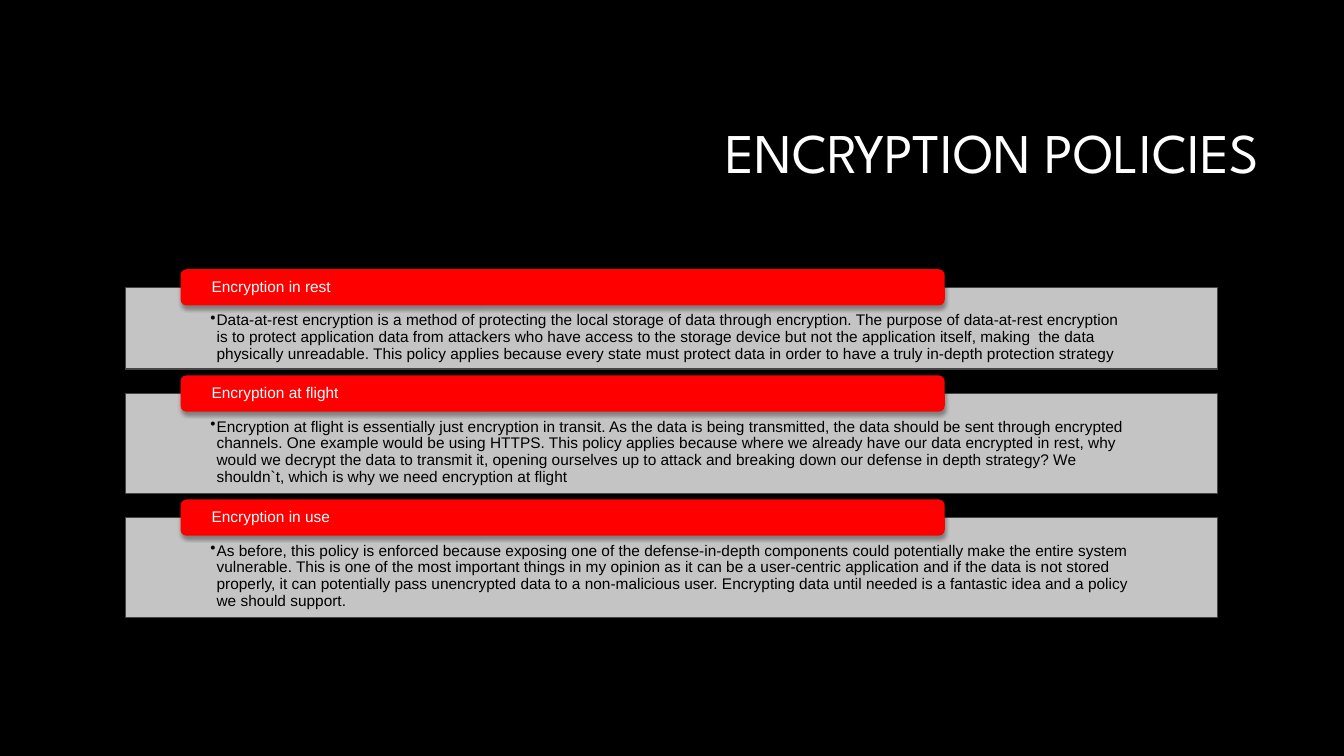
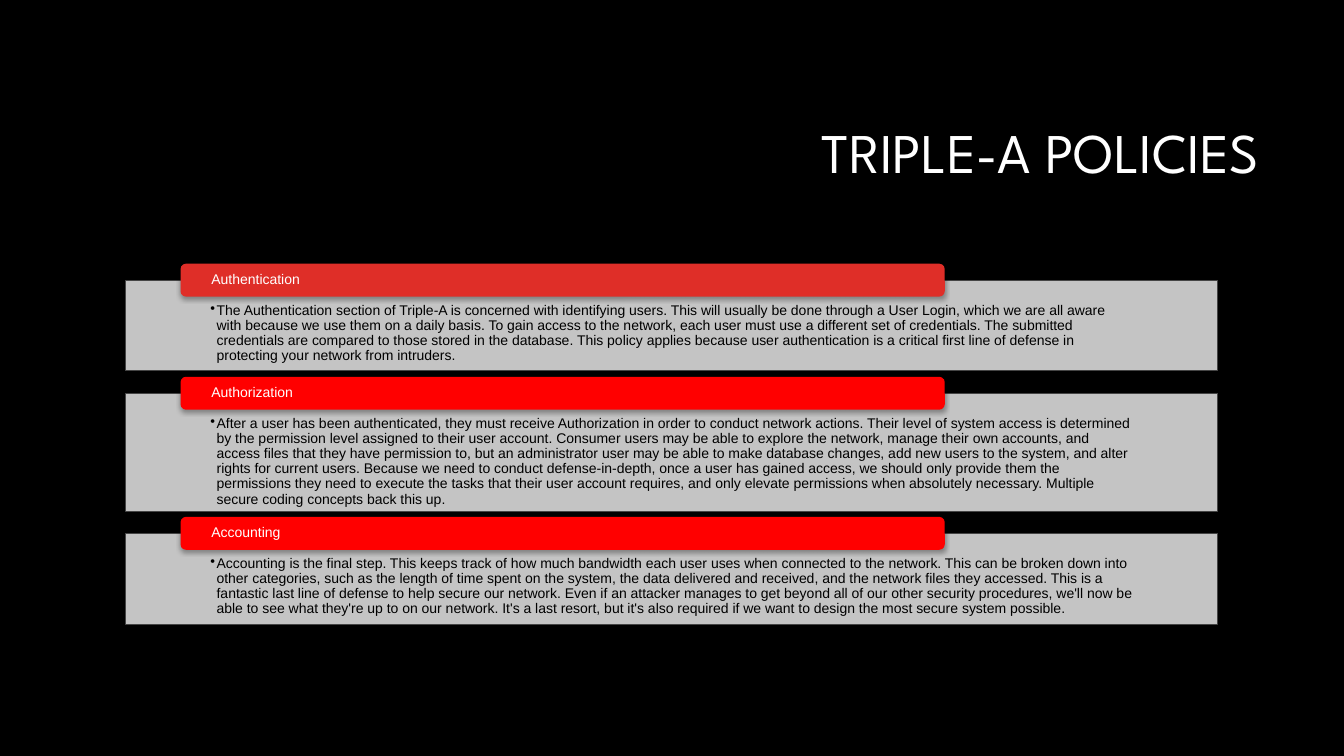
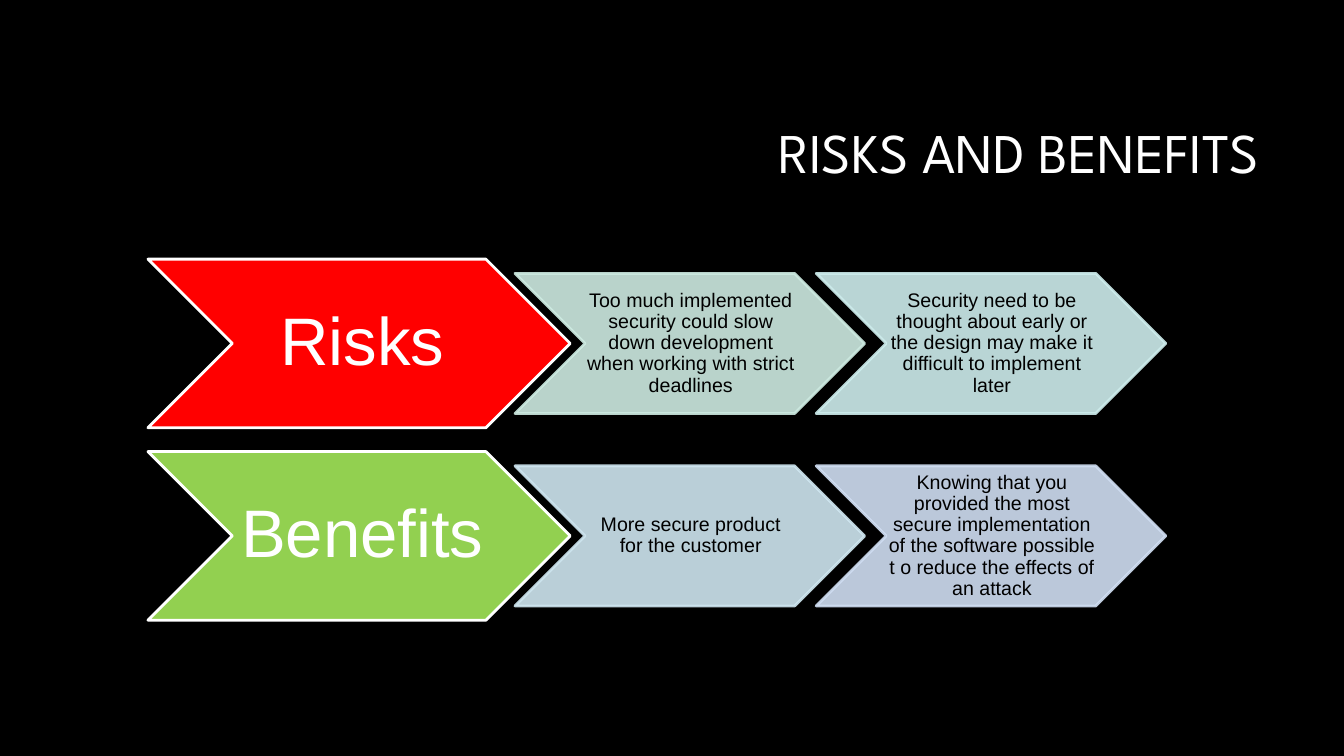
from dataclasses import dataclass

from lxml import etree
from pptx import Presentation
from pptx.dml.color import RGBColor
from pptx.enum import shapes, text
from pptx.oxml import ns
from pptx.util import Cm, Pt

COLORS = {
    "background": "000000",
    "light_text": "FFFFFF",
    "dark_text": "000000",
    "panel": "DADADA",
    "panel_edge": "454545",
    "red": "FF0000",
    "brick": "DF2E28",
    "green": "92D050",
    "mint": "CEEBE2",
    "aqua": "CEEDED",
    "sky": "CFE6F0",
    "periwinkle": "D0DEF2",
}
TITLE_FONT = "League Spartan"
BODY_FONT = "Arial"
TITLE_ONLY = 5


@dataclass(frozen=True)
class Box:
    """Position and size in centimetres."""
    left: float
    top: float
    width: float
    height: float


@dataclass(frozen=True)
class Policy:
    heading: str
    body: str
    height: float
    color: str = "red"


@dataclass(frozen=True)
class PolicySlide:
    title: str
    top: float
    size: int
    policies: tuple[Policy, ...]


@dataclass(frozen=True)
class Step:
    label: str
    color: str


@dataclass(frozen=True)
class ChevronRow:
    lead: Step
    followers: tuple[Step, ...]


@dataclass(frozen=True)
class TextStyle:
    size: int
    color: str
    align: text.PP_ALIGN = text.PP_ALIGN.LEFT
    anchor: text.MSO_ANCHOR = text.MSO_ANCHOR.MIDDLE
    insets: tuple[float, float, float, float] = (0, 0, 0, 0)
    font: str = BODY_FONT


# Content
POLICY_SLIDES = (
    PolicySlide("ENCRYPTION POLICIES", 7.24, 11, (
        Policy(
            "Encryption in rest",
            "Data-at-rest encryption is a method of protecting the local storage of data "
            "through encryption. The purpose of data-at-rest encryption is to protect "
            "application data from attackers who have access to the storage device but not "
            "the application itself, making  the data physically unreadable. This policy "
            "applies because every state must protect data in order to have a truly "
            "in-depth protection strategy",
            2.06),
        Policy(
            "Encryption at flight",
            "Encryption at flight is essentially just encryption in transit. As the data is "
            "being transmitted, the data should be sent through encrypted channels. One "
            "example would be using HTTPS. This policy applies because where we already have "
            "our data encrypted in rest, why would we decrypt the data to transmit it, "
            "opening ourselves up to attack and breaking down our defense in depth strategy? "
            "We shouldn`t, which is why we need encryption at flight",
            2.51),
        Policy(
            "Encryption in use",
            "As before, this policy is enforced because exposing one of the defense-in-depth "
            "components could potentially make the entire system vulnerable. This is one of "
            "the most important things in my opinion as it can be a user-centric application "
            "and if the data is not stored properly, it can potentially pass unencrypted data "
            "to a non-malicious user. Encrypting data until needed is a fantastic idea and a "
            "policy we should support.",
            2.51),
    )),
    PolicySlide("TRIPLE-A POLICIES", 7.06, 10, (
        Policy(
            "Authentication",
            "The Authentication section of Triple-A is concerned with identifying users. This "
            "will usually be done through a User Login, which we are all aware with because "
            "we use them on a daily basis. To gain access to the network, each user must use "
            "a different set of credentials. The submitted credentials are compared to those "
            "stored in the database. This policy applies because user authentication is a "
            "critical first line of defense in protecting your network from intruders.",
            2.29, "brick"),
        Policy(
            "Authorization",
            "After a user has been authenticated, they must receive Authorization in order to "
            "conduct network actions. Their level of system access is determined by the "
            "permission level assigned to their user account. Consumer users may be able to "
            "explore the network, manage their own accounts, and access files that they have "
            "permission to, but an administrator user may be able to make database changes, "
            "add new users to the system, and alter rights for current users. Because we need "
            "to conduct defense-in-depth, once a user has gained access, we should only "
            "provide them the permissions they need to execute the tasks that their user "
            "account requires, and only elevate permissions when absolutely necessary. "
            "Multiple secure coding concepts back this up.",
            2.97),
        Policy(
            "Accounting",
            "Accounting is the final step. This keeps track of how much bandwidth each user "
            "uses when connected to the network. This can be broken down into other "
            "categories, such as the length of time spent on the system, the data delivered "
            "and received, and the network files they accessed. This is a fantastic last line "
            "of defense to help secure our network. Even if an attacker manages to get beyond "
            "all of our other security procedures, we'll now be able to see what they're up "
            "to on our network. It's a last resort, but it's also required if we want to "
            "design the most secure system possible.",
            2.29),
    )),
)
CHEVRON_ROWS = (
    ChevronRow(Step("Risks", "red"), (
        Step("Too much implemented security could slow down development when working with "
             "strict deadlines", "mint"),
        Step("Security need to be thought about early or the design may make it difficult to "
             "implement later", "aqua"),
    )),
    ChevronRow(Step("Benefits", "green"), (
        Step("More secure product for the customer", "sky"),
        Step("Knowing that you provided the most secure implementation of the software "
             "possible t o reduce the effects of an attack", "periwinkle"),
    )),
)

# Shared styles
TITLE_BOX = Box(8.05, 2.13, 23.93, 3.58)
TITLE_STYLE = TextStyle(40, "light_text", text.PP_ALIGN.RIGHT,
                        insets=(0.25, 0.13, 0.25, 0.13), font=TITLE_FONT)
LEAD_STYLE = TextStyle(48, "light_text", text.PP_ALIGN.CENTER,
                       insets=(0.17, 0.08, 0, 0.08))
FOLLOWER_STYLE = TextStyle(14, "dark_text", text.PP_ALIGN.CENTER,
                           insets=(0.05, 0.03, 0, 0.03))


def rgb(name: str) -> RGBColor:
    return RGBColor.from_string(COLORS[name])


def write(shape, words: str, style: TextStyle) -> None:
    frame = shape.text_frame
    frame.text = words
    frame.word_wrap = True
    frame.auto_size = text.MSO_AUTO_SIZE.NONE
    frame.vertical_anchor = style.anchor
    (frame.margin_left, frame.margin_top,
     frame.margin_right, frame.margin_bottom) = map(Cm, style.insets)
    paragraph = frame.paragraphs[0]
    paragraph.alignment = style.align
    paragraph.line_spacing = 0.9
    for run in paragraph.runs:
        run.font.name = style.font
        run.font.size = Pt(style.size)
        run.font.color.rgb = rgb(style.color)


def place(shape, box: Box) -> None:
    shape.left, shape.top = Cm(box.left), Cm(box.top)
    shape.width, shape.height = Cm(box.width), Cm(box.height)


def add_block(slide, kind: shapes.MSO_SHAPE, box: Box, fill: str,
              edge: str | None = None, edge_width: float = 0, opacity: int = 100):
    block = slide.shapes.add_shape(kind, 0, 0, 0, 0)
    place(block, box)
    block.shadow.inherit = False
    block.fill.solid()
    block.fill.fore_color.rgb = rgb(fill)
    if opacity < 100:
        set_opacity(block.fill._xPr.find(ns.qn("a:solidFill")), opacity)
    if edge is None:
        block.line.fill.background()
    else:
        block.line.color.rgb = rgb(edge)
        block.line.width = Pt(edge_width)
        if edge == fill:
            set_opacity(block.line._ln.find(ns.qn("a:solidFill")), opacity)
    return block


def set_opacity(parent, percent: int) -> None:
    color = parent.find(ns.qn("a:srgbClr"))
    etree.SubElement(color, ns.qn("a:alpha"), val=str(percent * 1000))


def drop_shadow(shape) -> None:
    effects = shape._element.spPr.find(ns.qn("a:effectLst"))
    shadow = etree.SubElement(effects, ns.qn("a:outerShdw"), blurRad=str(Pt(3.1)),
                              dist=str(Pt(1.8)), dir="5400000", rotWithShape="0")
    etree.SubElement(shadow, ns.qn("a:srgbClr"), val=COLORS["background"])
    set_opacity(shadow, 35)


def add_bullet(paragraph, indent: float) -> None:
    properties = paragraph._p.get_or_add_pPr()
    properties.set("marL", str(Cm(indent)))
    properties.set("indent", str(-Cm(indent)))
    etree.SubElement(properties, ns.qn("a:buChar"), char="•")


def add_titled_slide(deck, title: str):
    slide = deck.slides.add_slide(deck.slide_layouts[TITLE_ONLY])
    place(slide.shapes.title, TITLE_BOX)
    write(slide.shapes.title, title, TITLE_STYLE)
    return slide


def add_policy_slide(deck, content: PolicySlide) -> None:
    slide = add_titled_slide(deck, content.title)
    # Tab height, gap and insets grow with the text size
    size = content.size
    tab_height, gap = 0.083 * size, 0.056 * size
    body_style = TextStyle(size, "dark_text", anchor=text.MSO_ANCHOR.TOP,
                           insets=(2.13, 0.058 * size, 2.13, 0.02 * size))
    tab_style = TextStyle(size, "light_text", insets=(0.74, 0, 0.74, 0))
    top = content.top
    for policy in content.policies:
        panel = add_block(slide, shapes.MSO_SHAPE.RECTANGLE,
                          Box(3.17, top, 27.51, policy.height),
                          "panel", "panel_edge", 0.75, 90)
        write(panel, policy.body, body_style)
        add_bullet(panel.text_frame.paragraphs[0], 0.16)
        tab = add_block(slide, shapes.MSO_SHAPE.ROUNDED_RECTANGLE,
                        Box(4.55, top - tab_height / 2, 19.26, tab_height), policy.color)
        write(tab, policy.heading, tab_style)
        for block in (panel, tab):
            drop_shadow(block)
        top += policy.height + gap


def add_chevron_slide(deck, title: str, rows: tuple[ChevronRow, ...]) -> None:
    slide = add_titled_slide(deck, title)
    row_pitch, column_pitch = 4.85, 7.59
    lead_height, follower_height = 4.25, 3.53
    for row_index, row in enumerate(rows):
        top = 6.53 + row_index * row_pitch
        lead = add_block(slide, shapes.MSO_SHAPE.CHEVRON,
                         Box(3.73, top, 10.64, lead_height),
                         row.lead.color, "light_text", 2)
        write(lead, row.lead.label, LEAD_STYLE)
        follower_top = top + (lead_height - follower_height) / 2
        for column, step in enumerate(row.followers):
            follower = add_block(slide, shapes.MSO_SHAPE.CHEVRON,
                                 Box(12.98 + column * column_pitch, follower_top,
                                     8.81, follower_height),
                                 step.color, step.color, 2, 90)
            write(follower, step.label, FOLLOWER_STYLE)


def main() -> None:
    deck = Presentation()
    deck.slide_width, deck.slide_height = Cm(33.87), Cm(19.05)
    # Black background for every slide
    backdrop = deck.slide_master.background.fill
    backdrop.solid()
    backdrop.fore_color.rgb = rgb("background")

    for content in POLICY_SLIDES:
        add_policy_slide(deck, content)
    add_chevron_slide(deck, "RISKS AND BENEFITS", CHEVRON_ROWS)
    deck.save("out.pptx")


if __name__ == "__main__":
    main()
